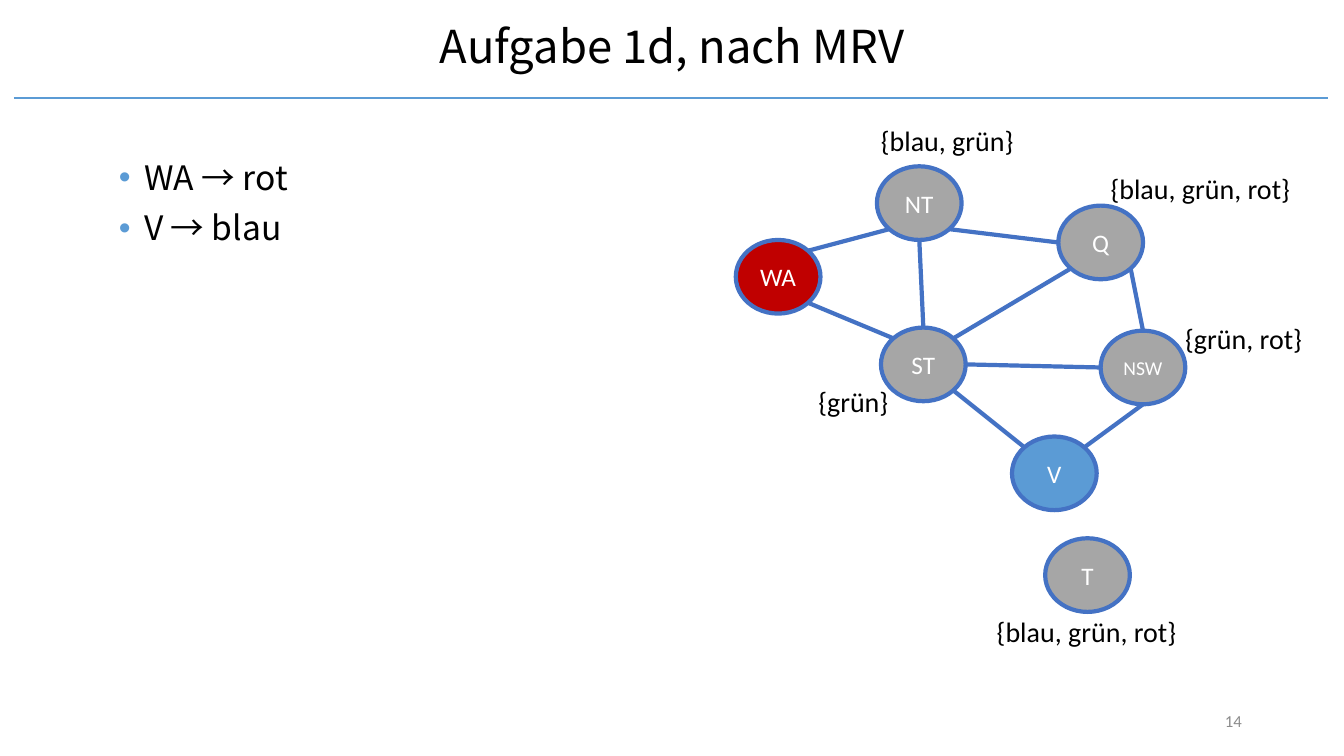
import math

import pptx
import pptx.dml.color
import pptx.enum.shapes
import pptx.enum.text
import pptx.oxml.ns
import pptx.util
from lxml import etree

Pt = pptx.util.Pt
ALIGN = pptx.enum.text.PP_ALIGN
ANCHOR = pptx.enum.text.MSO_ANCHOR

COLORS = {
    "accent": "5B9BD5", "outline": "4472C4", "red": "C00000",
    "grey": "A6A6A6", "number": "8C8C8C", "black": "000000", "white": "FFFFFF",
}
HEADING_FONT = "Noto Sans CJK SC"
LABEL_FONT = "Calibri"

NODE_WIDTH, NODE_HEIGHT = 60.5, 52.6
# name: left, top (within the graph box), fill, text size
NODES = {
    "WA": (0, 86.4, "red", 18),
    "NT": (100.8, 33.8, "grey", 18),
    "ST": (103.7, 149, "grey", 18),
    "Q": (230.4, 61.9, "grey", 18),
    "NSW": (260.6, 151.2, "grey", 14),
    "V": (197.3, 226.8, "blue", 18),
    "T": (221, 299.5, "grey", 18),
}
NODE_FILLS = {"red": "red", "grey": "grey", "blue": "accent"}
# start node, side, end node, side
EDGES = [
    ("WA", "NE", "NT", "SW"), ("NT", "SE", "Q", "W"), ("ST", "N", "NT", "S"),
    ("WA", "SE", "ST", "NW"), ("ST", "NE", "Q", "SW"), ("NSW", "N", "Q", "SE"),
    ("ST", "E", "NSW", "W"), ("ST", "SE", "V", "NW"), ("V", "NE", "NSW", "S"),
]
SIDES = ["E", "SE", "S", "SW", "W", "NW", "N", "NE"]
# text, left, top, width (within the graph box)
DOMAINS = [
    ("{grün}", 51.8, 186.4, 65),
    ("{blau, grün, rot}", 179.3, 350.6, 144),
    ("{grün, rot}", 313.9, 141.1, 98.6),
    ("{blau, grün, rot}", 260.6, 33.8, 144),
    ("{blau, grün}", 96.5, 0, 110),
]


def rgb(name):
    return pptx.dml.color.RGBColor.from_string(COLORS[name])


def add_span(para, text, size, font, color):
    span = para.add_run()
    span.text = text
    span.font.size = Pt(size)
    span.font.name = font
    span.font.color.rgb = rgb(color)


def add_box(page, left, top, width, height, anchor=ANCHOR.TOP, wrap=True):
    box = page.shapes.add_textbox(Pt(left), Pt(top), Pt(width), Pt(height))
    box.text_frame.word_wrap = wrap
    box.text_frame.vertical_anchor = anchor
    return box.text_frame


def add_line(page, start, end, color, weight):
    line = page.shapes.add_connector(
        pptx.enum.shapes.MSO_CONNECTOR.STRAIGHT,
        Pt(start[0]), Pt(start[1]), Pt(end[0]), Pt(end[1]))
    line.line.color.rgb = rgb(color)
    line.line.width = Pt(weight)
    etree.SubElement(line._element.spPr, pptx.oxml.ns.qn("a:effectLst"))


def add_bullet(para, color):
    properties = para._p.get_or_add_pPr()
    properties.set("marL", str(Pt(18)))
    properties.set("indent", str(-Pt(18)))
    bullet_color = etree.SubElement(properties, pptx.oxml.ns.qn("a:buClr"))
    etree.SubElement(bullet_color, pptx.oxml.ns.qn("a:srgbClr"), val=COLORS[color])
    etree.SubElement(properties, pptx.oxml.ns.qn("a:buFont"), typeface="Arial")
    etree.SubElement(properties, pptx.oxml.ns.qn("a:buChar"), char="•")


def add_header(page, left, top, width, height, title):
    # Rule across the page
    rule = top + height + 12.2
    add_line(page, (left - 56.2, rule), (left + width + 54.7, rule), "accent", 1.5)
    # Title
    para = add_box(page, left, top, width, height, ANCHOR.MIDDLE).paragraphs[0]
    para.alignment = ALIGN.CENTER
    para.line_spacing = 0.9
    add_span(para, title, 32.4, HEADING_FONT, "black")


def add_page_number(page, left, top, width, height, number):
    para = add_box(page, left, top, width, height, ANCHOR.MIDDLE).paragraphs[0]
    para.alignment = ALIGN.RIGHT
    add_span(para, number, 12, LABEL_FONT, "number")


def add_assignments(page, left, top, width, height, items):
    frame = add_box(page, left, top, width, height)
    for index, item in enumerate(items):
        para = frame.add_paragraph() if index else frame.paragraphs[0]
        add_bullet(para, "accent")
        para.line_spacing = 0.9
        if index:
            para.space_before = Pt(10)
        add_span(para, item, 24, HEADING_FONT, "black")


def side_point(left, top, name, side):
    """Point on a node's outline, at a multiple of 45 degrees."""
    angle = SIDES.index(side) * math.pi / 4
    return (left + NODES[name][0] + NODE_WIDTH / 2 * (1 + math.cos(angle)),
            top + NODES[name][1] + NODE_HEIGHT / 2 * (1 + math.sin(angle)))


def add_graph(page, left, top):
    # Nodes
    for name, (x, y, fill, size) in NODES.items():
        node = page.shapes.add_shape(
            pptx.enum.shapes.MSO_SHAPE.OVAL,
            Pt(left + x), Pt(top + y), Pt(NODE_WIDTH), Pt(NODE_HEIGHT))
        node.shadow.inherit = False
        node.fill.solid()
        node.fill.fore_color.rgb = rgb(NODE_FILLS[fill])
        node.line.color.rgb = rgb("outline")
        node.line.width = Pt(3)
        frame = node.text_frame
        frame.vertical_anchor = ANCHOR.MIDDLE
        frame.paragraphs[0].alignment = ALIGN.CENTER
        add_span(frame.paragraphs[0], name, size, LABEL_FONT, "white")
    # Edges
    for first, first_side, second, second_side in EDGES:
        add_line(page, side_point(left, top, first, first_side),
                 side_point(left, top, second, second_side), "outline", 3)
    # Remaining values
    for text, x, y, width in DOMAINS:
        frame = add_box(page, left + x, top + y, width, 31.5, wrap=False)
        frame.auto_size = pptx.enum.text.MSO_AUTO_SIZE.SHAPE_TO_FIT_TEXT
        add_span(frame.paragraphs[0], text, 20, LABEL_FONT, "black")


def main():
    deck = pptx.Presentation()
    deck.slide_width, deck.slide_height = Pt(960), Pt(540)
    page = deck.slides.add_slide(deck.slide_layouts[6])
    add_header(page, 66.2, 12.2, 828, 45.4, "Aufgabe 1d, nach MRV")
    add_page_number(page, 678.2, 500.4, 216, 28.8, "14")
    add_graph(page, 525.6, 85)
    add_assignments(page, 77.8, 111.6, 385.2, 386.6, ["WA → rot", "V → blau"])
    deck.save("out.pptx")


if __name__ == "__main__":
    main()
